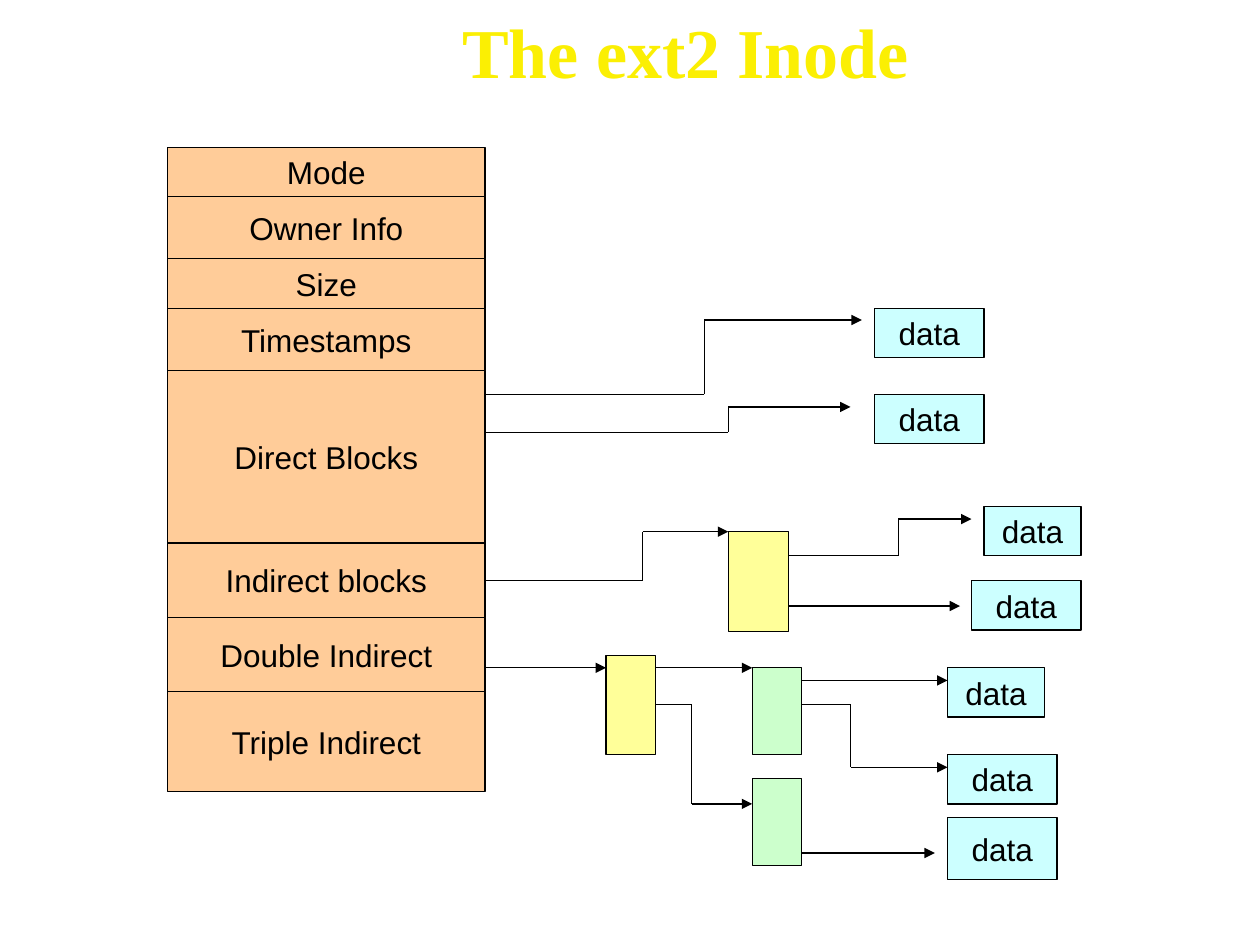
from itertools import pairwise

from lxml.etree import SubElement
from pptx import Presentation
from pptx.dml.color import RGBColor
from pptx.enum.shapes import MSO_CONNECTOR as Connector, MSO_SHAPE as Shape
from pptx.enum.text import MSO_ANCHOR as Anchor, PP_ALIGN as Align
from pptx.oxml.ns import qn
from pptx.util import Inches, Pt

COLORS = {
    "title": "FBEF03",
    "ink": "000000",
    "inode": "FFCC99",
    "data": "CCFFFF",
    "first_level": "FFFF99",
    "second_level": "CCFFCC",
}


def write_text(frame, text, size=18, font="Arial", color="ink", bold=False,
               anchor=Anchor.MIDDLE, wrap=False):
    frame.word_wrap = wrap
    frame.vertical_anchor = anchor
    paragraph = frame.paragraphs[0]
    paragraph.alignment = Align.CENTER
    run = paragraph.add_run()
    run.text = text
    run.font.size = Pt(size)
    run.font.name = font
    run.font.bold = bold
    run.font.color.rgb = RGBColor.from_string(COLORS[color])


class InodeSlide:
    """Draws the parts of the inode diagram in one shared style."""

    line_width = Pt(0.75)

    def __init__(self, slide):
        self.shapes = slide.shapes

    def outline(self, line):
        line.color.rgb = RGBColor.from_string(COLORS["ink"])
        line.width = self.line_width

    def title(self, text, left, top, width, height):
        box = self.shapes.add_textbox(*map(Inches, (left, top, width, height)))
        write_text(box.text_frame, text, size=40, font="Times New Roman",
                   color="title", bold=True, anchor=Anchor.TOP, wrap=True)

    def block(self, color, left, top, width, height, text=""):
        block = self.shapes.add_shape(
            Shape.RECTANGLE, *map(Inches, (left, top, width, height)))
        block.shadow.inherit = False
        block.fill.solid()
        block.fill.fore_color.rgb = RGBColor.from_string(COLORS[color])
        self.outline(block.line)
        if text:
            write_text(block.text_frame, text)

    def pointer(self, *points):
        for start, end in pairwise(points):
            segment = self.shapes.add_connector(
                Connector.STRAIGHT, *map(Inches, start + end))
            self.outline(segment.line)
            SubElement(segment._element.spPr, qn("a:effectLst"))
        SubElement(segment.line._get_or_add_ln(), qn("a:tailEnd"), type="triangle")

    def elbow(self, start_x, start_y, bend_x, end_x, end_y):
        self.pointer((start_x, start_y), (bend_x, start_y),
                     (bend_x, end_y), (end_x, end_y))

    def arrow(self, start_x, end_x, y):
        self.pointer((start_x, y), (end_x, y))


def main():
    deck = Presentation()
    deck.slide_width, deck.slide_height = Inches(10), Inches(7.5)
    diagram = InodeSlide(deck.slides.add_slide(deck.slide_layouts[6]))

    diagram.title("The ext2 Inode", 1.19, 0.02, 8.5, 1.25)

    inode_left, inode_right = 1.33, 3.85
    fields = ["Mode", "Owner Info", "Size", "Timestamps", "Direct Blocks",
              "Indirect blocks", "Double Indirect", "Triple Indirect"]
    edges = [1.17, 1.56, 2.05, 2.45, 2.94, 4.31, 4.9, 5.49, 6.28]
    for field, (top, bottom) in zip(fields, pairwise(edges)):
        diagram.block("inode", inode_left, top, inode_right - inode_left,
                      bottom - top, field)

    index_blocks = [
        ("first_level", 5.78, 4.22, 0.48, 0.79),
        ("first_level", 4.81, 5.2, 0.39, 0.79),
        ("second_level", 5.97, 5.3, 0.39, 0.69),
        ("second_level", 5.97, 6.18, 0.39, 0.69),
    ]
    for index_block in index_blocks:
        diagram.block(*index_block)

    data_blocks = [
        (6.94, 2.45, 0.87, 0.39),
        (6.94, 3.13, 0.87, 0.39),
        (7.81, 4.02, 0.77, 0.39),
        (7.71, 4.61, 0.87, 0.39),
        (7.52, 5.3, 0.77, 0.39),
        (7.52, 5.99, 0.87, 0.39),
        (7.52, 6.49, 0.87, 0.49),
    ]
    for data_block in data_blocks:
        diagram.block("data", *data_block, text="data")

    bent_pointers = [
        (inode_right, 3.13, 5.59, 6.84, 2.54),
        (inode_right, 3.43, 5.78, 6.75, 3.23),
        (inode_right, 4.61, 5.1, 5.78, 4.22),
        (6.26, 4.41, 7.13, 7.71, 4.12),
        (5.2, 5.59, 5.49, 5.97, 6.38),
        (6.36, 5.59, 6.75, 7.52, 6.09),
    ]
    for bent_pointer in bent_pointers:
        diagram.elbow(*bent_pointer)

    straight_pointers = [
        (6.26, 7.62, 4.81),
        (inode_right, 4.81, 5.3),
        (5.2, 5.97, 5.3),
        (6.36, 7.52, 5.4),
        (6.36, 7.42, 6.77),
    ]
    for straight_pointer in straight_pointers:
        diagram.arrow(*straight_pointer)

    deck.save("out.pptx")


if __name__ == "__main__":
    main()
